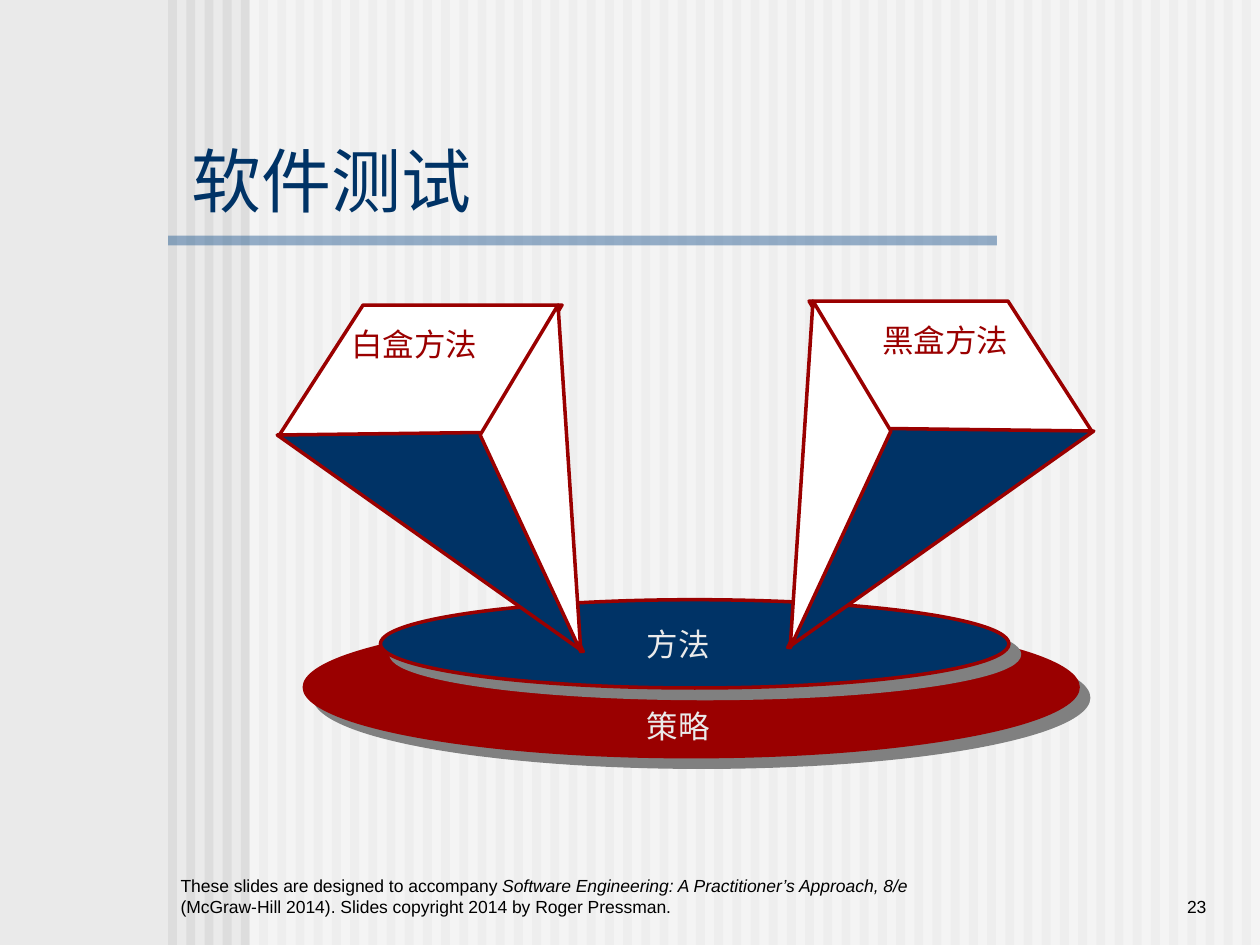
from lxml import etree
from pptx import Presentation
from pptx.dml.color import RGBColor
from pptx.enum.shapes import MSO_SHAPE
from pptx.enum.text import MSO_ANCHOR, PP_ALIGN
from pptx.oxml.ns import qn
from pptx.util import Cm, Pt

RECTANGLE, OVAL = MSO_SHAPE.RECTANGLE, MSO_SHAPE.OVAL
TOP, MIDDLE, BOTTOM = MSO_ANCHOR.TOP, MSO_ANCHOR.MIDDLE, MSO_ANCHOR.BOTTOM
LEFT, CENTER, RIGHT = PP_ALIGN.LEFT, PP_ALIGN.CENTER, PP_ALIGN.RIGHT

FONT = "Arial"
BLACK, WHITE, PALE, GREY = "000000", "FFFFFF", "EAEAEA", "DDDDDD"
NAVY, RED, STEEL, SHADOW = "003366", "9A0000", "336699", "808080"
SLIDE_WIDTH, SLIDE_HEIGHT = 25.4, 19.05

STRIPE_COUNT, STRIPE_WIDTH = 60, 0.18
PRISM_WIDTH = 6.17
PRISM_FACES = [
    (WHITE, [(5.74, 0), (1.73, 0), (0.03, 2.64), (4.17, 2.64)]),
    (NAVY, [(0, 2.62), (6.17, 6.99), (4.09, 2.57)]),
    (WHITE, [(6.12, 6.99), (4.09, 2.62), (5.66, 0)]),
]


def color(value):
    return RGBColor.from_string(value)


def paint(shape, fill, line=None, opacity=None):
    shape.shadow.inherit = False
    shape.fill.solid()
    shape.fill.fore_color.rgb = color(fill)
    if opacity:
        solid = shape._element.spPr.find(qn("a:solidFill"))
        etree.SubElement(solid[0], qn("a:alpha"), val=str(opacity * 1000))
    if line:
        shape.line.color.rgb = color(line)
        shape.line.width = Pt(2)
    else:
        shape.line.fill.background()


def add_block(shapes, kind, box, fill, line=None, opacity=None):
    shape = shapes.add_shape(kind, *map(Cm, box))
    paint(shape, fill, line, opacity)
    return shape


def write(frame, runs, size, ink, align, anchor):
    frame.word_wrap = True
    frame.vertical_anchor = anchor
    paragraph = frame.paragraphs[0]
    paragraph.alignment = align
    for text, italic in runs:
        run = paragraph.add_run()
        run.text = text
        run.font.name = FONT
        run.font.size = Pt(size)
        run.font.italic = italic
        run.font.color.rgb = color(ink)


def add_text(slide, box, runs, size, ink, align=CENTER, anchor=TOP):
    text_box = slide.shapes.add_textbox(*map(Cm, box))
    write(text_box.text_frame, runs, size, ink, align, anchor)


def add_backdrop(slide, left, width, height):
    fill = slide.background.fill
    fill.solid()
    fill.fore_color.rgb = color(PALE)
    group = slide.shapes.add_group_shape()
    pitch = (width - STRIPE_WIDTH) / (STRIPE_COUNT - 0.5)
    for index in range(STRIPE_COUNT):
        stripe = (left + index * pitch, 0, STRIPE_WIDTH, height)
        add_block(group.shapes, RECTANGLE, stripe, GREY)
    panel_offset = 1.64
    panel = (left + panel_offset, 0, width - panel_offset, height)
    add_block(group.shapes, RECTANGLE, panel, WHITE, opacity=50)
    add_block(group.shapes, RECTANGLE, (left, 4.75, 16.71, 0.2), STEEL, opacity=50)


def add_title(slide, box, text):
    title = slide.shapes.title
    title.left, title.top, title.width, title.height = map(Cm, box)
    write(title.text_frame, [(text, False)], 40, NAVY, LEFT, MIDDLE)
    slide.shapes._spTree.append(title._element)


def add_footer(slide, left, top, height):
    runs = [
        ("These slides are designed to accompany ", False),
        ("Software Engineering: A Practitioner’s Approach, 8/e ", True),
        ("(McGraw-Hill 2014). Slides copyright 2014 by Roger Pressman.", False),
    ]
    add_text(slide, (left, top, 15.24, height), runs, 10, BLACK, LEFT, BOTTOM)
    number_box = (left + 17.57, top, 3.61, height)
    add_text(slide, number_box, [("23", False)], 10, BLACK, RIGHT, BOTTOM)


def add_disc(slide, box, fill, line, text, label_left, label_top):
    disc = add_block(slide.shapes, OVAL, box, fill, line)
    effects = disc._element.spPr.find(qn("a:effectLst"))
    shadow = etree.SubElement(
        effects, qn("a:outerShdw"), dist=str(Pt(8.5)), dir="2700000",
        algn="ctr", rotWithShape="0")
    etree.SubElement(shadow, qn("a:srgbClr"), val=SHADOW)
    label = (box[0] + label_left, box[1] + label_top, 2.4, 1.02)
    add_text(slide, label, [(text, False)], 18, PALE)


def add_prism(slide, left, top, text, label_left, mirrored=False):
    group = slide.shapes.add_group_shape()
    for fill, corners in PRISM_FACES:
        points = [
            (Cm(left + (PRISM_WIDTH - x if mirrored else x)), Cm(top + y))
            for x, y in corners
        ]
        builder = group.shapes.build_freeform(*points[0])
        builder.add_line_segments(points[1:] + points[:1], close=False)
        face = builder.convert_to_shape()
        paint(face, fill, RED)
        etree.SubElement(face.line._get_or_add_ln(), qn("a:tailEnd"), type="triangle")
    label = (left + label_left, top + 0.28, 3.81, 1.02)
    add_text(slide, label, [(text, False)], 18, RED)


def main():
    presentation = Presentation()
    presentation.slide_width = Cm(SLIDE_WIDTH)
    presentation.slide_height = Cm(SLIDE_HEIGHT)
    slide = presentation.slides.add_slide(presentation.slide_layouts[5])
    margin = 3.39
    add_backdrop(slide, margin, SLIDE_WIDTH - margin, SLIDE_HEIGHT)
    add_footer(slide, margin, 17.35, 1.27)
    add_title(slide, (3.61, 2.74, 14.66, 1.75), "软件测试")
    add_disc(slide, (6.1, 12.42, 15.67, 2.87), RED, None, "策略", 6.37, 1.7)
    add_disc(slide, (7.67, 12.09, 12.67, 1.78), NAVY, RED, "方法", 4.8, 0.38)
    add_prism(slide, 5.59, 6.15, "白盒方法", 0.86)
    add_prism(slide, 15.88, 6.07, "黑盒方法", 1.27, mirrored=True)
    presentation.save("out.pptx")


if __name__ == "__main__":
    main()
